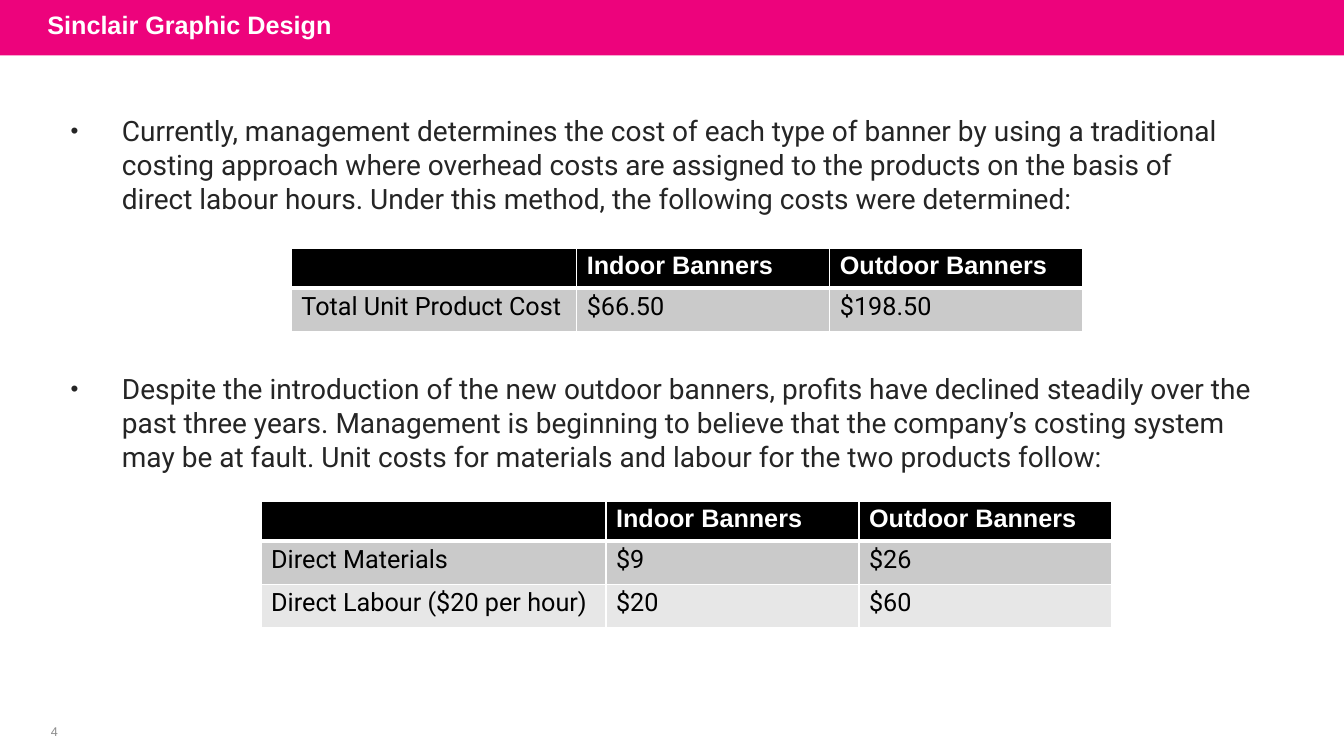
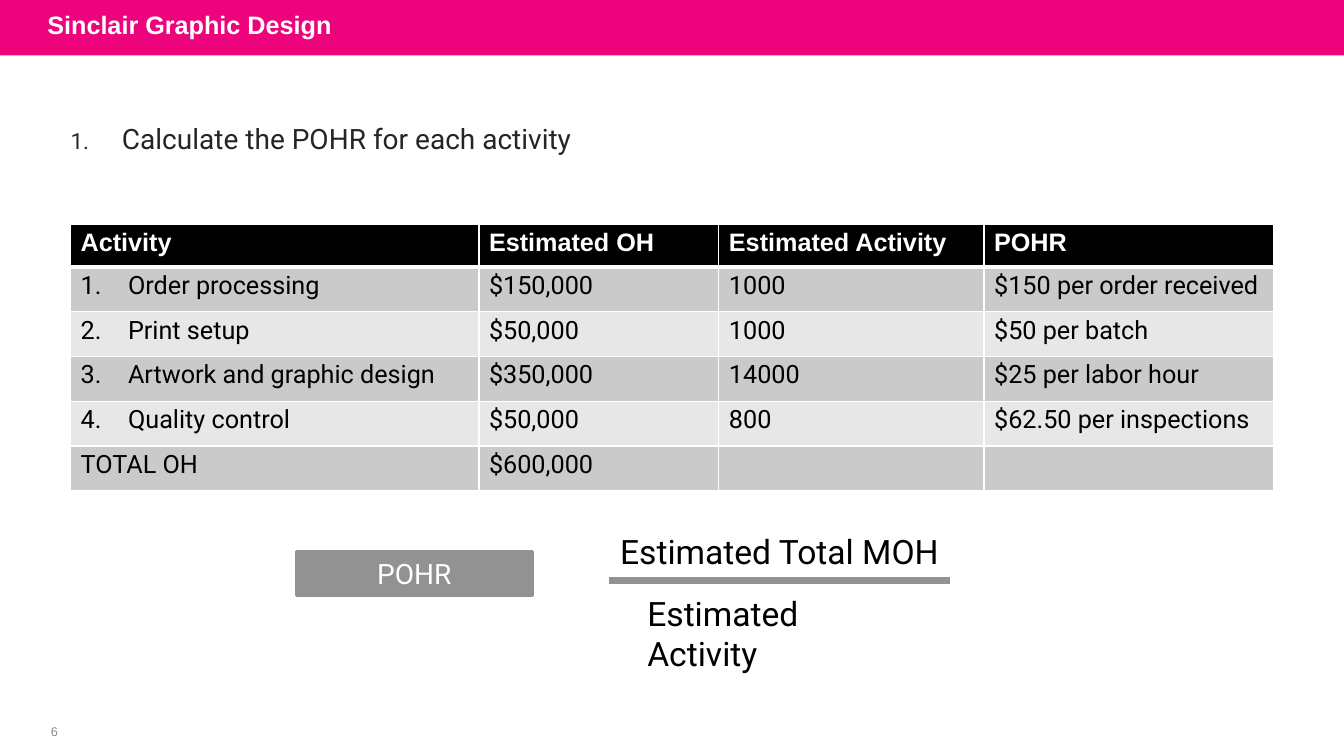
"""Two costing slides: unit costs of the banners and overhead rates by activity."""
from dataclasses import dataclass

from lxml import etree
from pptx import Presentation
from pptx import util as u
from pptx.dml.color import RGBColor
from pptx.enum import shapes, text
from pptx.oxml import ns

CELL = u.Inches(0.1)


@dataclass(frozen=True)
class Theme:
    pink: str = "ED037C"
    white: str = "FFFFFF"
    black: str = "000000"
    ink: str = "252525"
    grey: str = "929292"
    footer_grey: str = "8C8C8C"
    bands: tuple = ("CACACA", "E7E7E7")
    heading: str = "Arial"
    body: str = "Roboto"
    footer_size: int = 9
    table_size: int = 18
    body_size: int = 20
    formula_size: int = 24


theme = Theme()


def write(paragraph, words, size, color, font=theme.body, bold=False, before=1,
          marker=None, hang=5.0, marker_size=100):
    """Fill a paragraph; a marker is a bullet sign or a list number."""
    paragraph.text = words
    paragraph.space_before = u.Pt(before)
    paragraph.font.size = u.Pt(size)
    paragraph.font.name = font
    paragraph.font.bold = bold
    paragraph.font.color.rgb = RGBColor.from_string(color)
    if marker is None:
        return
    properties = paragraph._p.get_or_add_pPr()
    properties.set("marL", str(int(hang * CELL)))
    properties.set("indent", str(-int(hang * CELL)))
    marks = [("a:buSzPct", {"val": str(marker_size * 1000)})]
    if isinstance(marker, int):
        marks.append(("a:buAutoNum", {"type": "arabicPeriod", "startAt": str(marker)}))
    else:
        marks += [("a:buFont", {"typeface": theme.heading}), ("a:buChar", {"char": marker})]
    position = list(properties).index(properties.find(ns.qn("a:defRPr")))
    for offset, (tag, attributes) in enumerate(marks):
        properties.insert(position + offset, etree.Element(ns.qn(tag), attributes))


def text_area(slide, cells, anchor=text.MSO_ANCHOR.TOP):
    """Add a wrapping text box placed in grid cells and return its paragraph."""
    frame = slide.shapes.add_textbox(*[int(n * CELL) for n in cells]).text_frame
    frame.word_wrap = True
    frame.vertical_anchor = anchor
    frame.margin_left = frame.margin_right = frame.margin_bottom = 0
    frame.margin_top = u.Inches(0.01) if anchor == text.MSO_ANCHOR.TOP else 0
    return frame.paragraphs[0]


banners = ["", "Indoor Banners", "Outdoor Banners"]
pages = [
    {
        "number": "4",
        "statements": [
            ((7, 11.2, 116, 10.3), "•",
             "Currently, management determines the cost of each type of banner by using "
             "a traditional costing approach where overhead costs are assigned to the "
             "products on the basis of direct labour hours. Under this method, the "
             "following costs were determined:"),
            ((7, 36.8, 120.3, 10.3), "•",
             "Despite the introduction of the new outdoor banners, profits have declined "
             "steadily over the past three years. Management is beginning to believe that "
             "the company’s costing system may be at fault. Unit costs for materials and "
             "labour for the two products follow:"),
        ],
        "tables": [
            ((28.9, 24.6), (28.3, 25.1, 25.1), (4, 4.3),
             [banners, ["Total Unit Product Cost", "$66.50", "$198.50"]]),
            ((25.9, 49.7), (34.2, 25.1, 25.1), (4, 4.3),
             [banners,
              ["Direct Materials", "$9", "$26"],
              ["Direct Labour ($20 per hour)", "$20", "$60"]]),
        ],
    },
    {
        "number": "6",
        "statements": [((7, 12, 50.3, 3.6), 1, "Calculate the POHR for each activity")],
        "tables": [
            ((7, 22.3), (40.5, 23.8, 26.3, 28.7), (4.2, 4.44),
             [["Activity", "Estimated OH", "Estimated Activity", "POHR"],
              [(1, "Order processing"), "$150,000", "1000", "$150 per order received"],
              [(2, "Print setup"), "$50,000", "1000", "$50 per batch"],
              [(3, "Artwork and graphic design"), "$350,000", "14000", "$25 per labor hour"],
              [(4, "Quality control"), "$50,000", "800", "$62.50 per inspections"],
              ["TOTAL OH", "$600,000", "", ""]]),
        ],
    },
]

deck = Presentation()
deck.slide_width, deck.slide_height = u.Inches(13.33), u.Inches(7.5)

for page in pages:
    slide = deck.slides.add_slide(deck.slide_layouts[6])

    band = slide.shapes.add_shape(shapes.MSO_SHAPE.RECTANGLE, 0, 0,
                                  deck.slide_width, int(5.5 * CELL))
    band.shadow.inherit = False
    band.fill.solid()
    band.fill.fore_color.rgb = RGBColor.from_string(theme.pink)
    band.line.fill.background()

    title = text_area(slide, (4.7, 0, 103, 4.9), text.MSO_ANCHOR.MIDDLE)
    write(title, "Sinclair Graphic Design", theme.table_size, theme.white,
          theme.heading, bold=True, before=3.6)
    title.space_after = u.Pt(6)

    page_number = text_area(slide, (2.8, 71.4, 5.2, 2.4), text.MSO_ANCHOR.MIDDLE)
    write(page_number, page["number"], theme.footer_size, theme.footer_grey,
          theme.heading, before=0)
    page_number.alignment = text.PP_ALIGN.CENTER

    for cells, marker, words in page["statements"]:
        write(text_area(slide, cells), words, theme.body_size, theme.ink,
              marker=marker, hang=5.1, marker_size=80)

    for (left, top), widths, (header_height, row_height), rows in page["tables"]:
        heights = [header_height] + [row_height] * (len(rows) - 1)
        frame = slide.shapes.add_table(
            len(rows), len(widths),
            *[int(n * CELL) for n in (left, top, sum(widths), sum(heights))])
        for style in list(frame._element.iter(ns.qn("a:tableStyleId"))):
            style.getparent().remove(style)
        costs = frame.table
        costs.horz_banding = False
        for column, width in zip(costs.columns, widths):
            column.width = int(width * CELL)
        for r, (entries, height) in enumerate(zip(rows, heights)):
            costs.rows[r].height = int(height * CELL)
            header = r == 0
            for c, entry in enumerate(entries):
                cell = costs.cell(r, c)
                cell.margin_left, cell.margin_top = CELL, u.Inches(0.04)
                cell.margin_right = cell.margin_bottom = 0
                marker, words = entry if isinstance(entry, tuple) else (None, entry)
                write(cell.text_frame.paragraphs[0], words, theme.table_size,
                      theme.white if header else theme.black,
                      theme.heading if header else theme.body,
                      bold=header, before=3.1, marker=marker, hang=4.7)
                for side in "LRTB":
                    thick = (side, r) in (("B", 0), ("T", 1))
                    border = etree.SubElement(cell._tc.get_or_add_tcPr(),
                                              ns.qn(f"a:ln{side}"),
                                              w=str(u.Pt(3 if thick else 1)))
                    paint = etree.SubElement(border, ns.qn("a:solidFill"))
                    etree.SubElement(paint, ns.qn("a:srgbClr"), val=theme.white)
                cell.fill.solid()
                cell.fill.fore_color.rgb = RGBColor.from_string(
                    theme.black if header else theme.bands[(r - 1) % 2])

rate = slide.shapes.add_shape(shapes.MSO_SHAPE.RECTANGLE,
                              *[int(n * CELL) for n in (29.4, 54.7, 23.4, 4.4)])
rate.shadow.inherit = False
rate.fill.solid()
rate.fill.fore_color.rgb = rate.line.color.rgb = RGBColor.from_string(theme.grey)
rate.line.width = u.Pt(2)
rate.text_frame.margin_top = rate.text_frame.margin_bottom = 0
rate.text_frame.vertical_anchor = text.MSO_ANCHOR.MIDDLE
rate_label = rate.text_frame.paragraphs[0]
write(rate_label, "POHR", theme.body_size, theme.white, before=0)
rate_label.alignment = text.PP_ALIGN.CENTER

for cells, words in [((61.5, 52.6, 32.5, 4.3), "Estimated Total MOH"),
                     ((64.2, 58.7, 25.5, 8.4), "Estimated Activity")]:
    write(text_area(slide, cells), words, theme.formula_size, theme.black)

fraction_bar = slide.shapes.add_connector(
    shapes.MSO_CONNECTOR.STRAIGHT, *[int(n * CELL) for n in (60.4, 57.6, 94.2, 57.6)])
fraction_bar.line.color.rgb = RGBColor.from_string(theme.grey)
fraction_bar.line.width = u.Pt(4.5)
etree.SubElement(fraction_bar._element.spPr, ns.qn("a:effectLst"))

deck.save("out.pptx")
